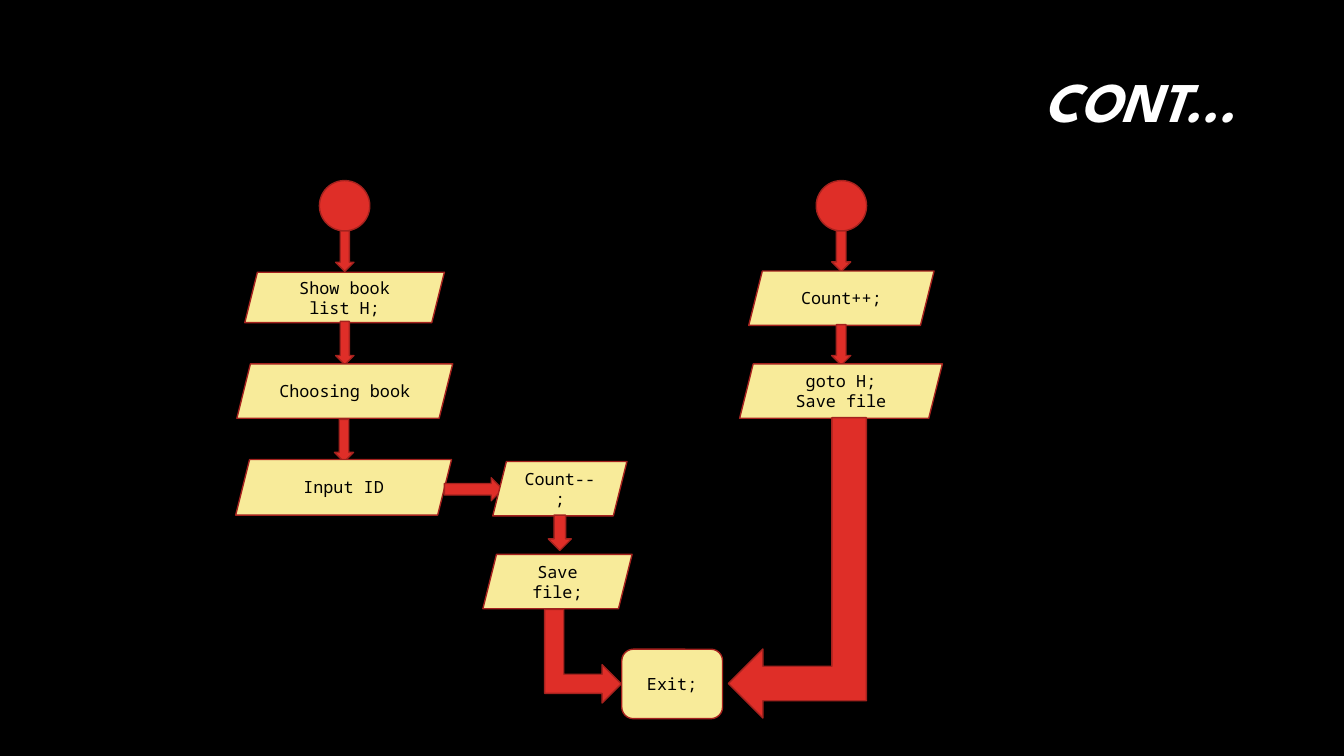
from pptx import Presentation
from pptx.dml.color import RGBColor
from pptx.enum import shapes, text
from pptx.util import Cm, Pt

BLACK = RGBColor(0x00, 0x00, 0x00)
WHITE = RGBColor(0xFF, 0xFF, 0xFF)
RED = RGBColor(0xDF, 0x2E, 0x28)
EDGE = RGBColor(0xA5, 0x22, 0x1E)
CREAM = RGBColor(0xF8, 0xEB, 0x9A)

KIND = shapes.MSO_SHAPE
DOT = KIND.FLOWCHART_CONNECTOR
DOWN = KIND.DOWN_ARROW
RIGHT = KIND.RIGHT_ARROW
BENT = KIND.BENT_UP_ARROW
STEP = KIND.PARALLELOGRAM
EXIT = KIND.ROUNDED_RECTANGLE


def write(frame, words, font="Noto Sans Mono", size=12, color=BLACK,
          align=text.PP_ALIGN.CENTER, bold=False, italic=False, gap=1.0):
    frame.text = words
    frame.word_wrap = True
    frame.vertical_anchor = text.MSO_ANCHOR.MIDDLE
    for par in frame.paragraphs:
        par.alignment = align
        par.line_spacing = gap
        for run in par.runs:
            run.font.name = font
            run.font.size = Pt(size)
            run.font.bold = bold
            run.font.italic = italic
            run.font.color.rgb = color


deck = Presentation()
deck.slide_width = Cm(33.87)
deck.slide_height = Cm(19.05)
slide = deck.slides.add_slide(deck.slide_layouts[5])
slide.background.fill.solid()
slide.background.fill.fore_color.rgb = BLACK

title = slide.shapes.title
title.left, title.top = Cm(7.47), Cm(0.84)
title.width, title.height = Cm(23.93), Cm(3.58)
write(title.text_frame, "CONT...", font="League Spartan", size=40, color=WHITE,
      align=text.PP_ALIGN.RIGHT, bold=True, italic=True, gap=0.9)

parts = [
    (DOT, 8.05, 4.55, 1.27, 1.27, ""),
    (DOT, 20.57, 4.55, 1.27, 1.27, ""),
    (DOWN, 8.46, 5.82, 0.46, 1.02, ""),
    (DOWN, 20.96, 5.82, 0.48, 1.02, ""),
    (STEP, 6.17, 6.86, 5.03, 1.27, "Show book list H;"),
    (STEP, 18.87, 6.83, 4.67, 1.37, "Count++;"),
    (DOWN, 20.96, 8.18, 0.48, 1.02, ""),
    (DOWN, 8.46, 8.1, 0.46, 1.09, ""),
    (STEP, 18.64, 9.17, 5.11, 1.37, "goto H;\nSave file"),
    (STEP, 5.97, 9.17, 5.44, 1.37, "Choosing book"),
    (DOWN, 8.43, 10.57, 0.48, 1.07, ""),
    (STEP, 5.94, 11.58, 5.44, 1.4, "Input ID"),
    (EXIT, 15.67, 16.36, 2.54, 1.75, "Exit;"),
    (RIGHT, 11.2, 12.04, 1.47, 0.58, ""),
    (STEP, 12.42, 11.63, 3.38, 1.37, "Count--;"),
    (DOWN, 13.82, 12.98, 0.58, 0.89, ""),
    (BENT, 16.31, 12.57, 7.57, 3.48, ""),
    (STEP, 12.17, 13.97, 3.76, 1.37, "Save file;"),
    (BENT, 13.51, 15.57, 2.36, 1.93, ""),
]
bends = []
for kind, left, top, wide, high, words in parts:
    part = slide.shapes.add_shape(kind, Cm(left), Cm(top), Cm(wide), Cm(high))
    part.shadow.inherit = False
    part.fill.solid()
    part.fill.fore_color.rgb = CREAM if words else RED
    part.line.color.rgb = EDGE
    part.line.width = Pt(1)
    if words:
        write(part.text_frame, words)
    if kind == BENT:
        bends.append(part)

long, short = bends
long.rotation = 270
long._element.spPr.xfrm.set("flipH", "1")
short.rotation = 90

deck.save("out.pptx")
